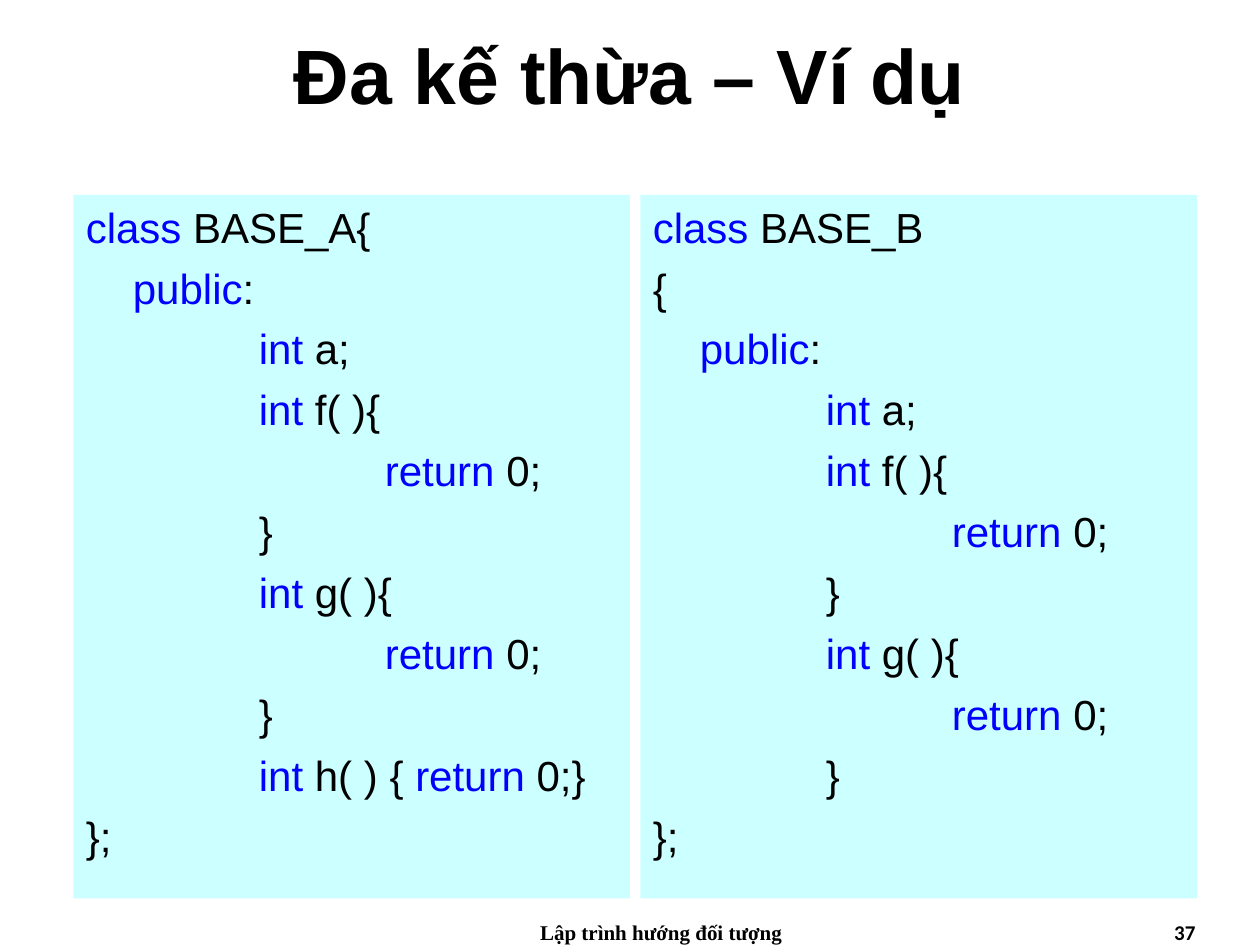
from dataclasses import dataclass

import pptx
import pptx.dml.color
import pptx.enum.shapes
import pptx.enum.text
import pptx.util

Cm = pptx.util.Cm
Pt = pptx.util.Pt
RGBColor = pptx.dml.color.RGBColor
Align = pptx.enum.text.PP_ALIGN
Anchor = pptx.enum.text.MSO_ANCHOR

BLACK = RGBColor(0x00, 0x00, 0x00)
KEYWORD_BLUE = RGBColor(0x00, 0x00, 0xFF)
PANEL_CYAN = RGBColor(0xCC, 0xFF, 0xFF)

KEYWORDS = {"class", "public", "int", "return"}
PANEL_LEFT = 1.48
PANEL_STEP = 11.43
CODE_INDENT = Cm(0.95)
TAB_SIZE = Cm(2.54)


@dataclass(frozen=True)
class Label:
    text: str
    left: float
    top: float
    width: float
    height: float
    font: str
    size: int
    align: Align
    anchor: Anchor = Anchor.TOP


@dataclass(frozen=True)
class CodeLine:
    depth: int
    tokens: tuple[str, ...]


LABELS = (
    Label("Đa kế thừa – Ví dụ", 0, 0, 25.4, 2.96, "Arial", 44, Align.CENTER, Anchor.MIDDLE),
    Label("Lập trình hướng đối tượng", 9.31, 18.42, 8.04, 0.64, "Times New Roman", 12, Align.CENTER),
    Label("37", 18.42, 18.42, 5.93, 0.64, "Calibri", 12, Align.RIGHT),
)


def function_lines(name: str) -> tuple[CodeLine, ...]:
    return (
        CodeLine(2, ("int", f" {name}( ){{")),
        CodeLine(3, ("return", " 0;")),
        CodeLine(2, ("}",)),
    )


MEMBERS = (
    CodeLine(1, ("public", ":")),
    CodeLine(2, ("int", " a;")),
    *function_lines("f"),
    *function_lines("g"),
)
CLASS_END = CodeLine(0, ("};",))
PANELS = (
    (
        CodeLine(0, ("class", " BASE_A{")),
        *MEMBERS,
        CodeLine(2, ("int", " h( ) { ", "return", " 0;}")),
        CLASS_END,
    ),
    (
        CodeLine(0, ("class", " BASE_B")),
        CodeLine(0, ("{",)),
        *MEMBERS,
        CLASS_END,
    ),
)


def add_run(paragraph, text: str, font: str, size: int, color: RGBColor, bold: bool = False) -> None:
    run = paragraph.add_run()
    run.text = text
    run.font.name = font
    run.font.size = Pt(size)
    run.font.bold = bold
    run.font.color.rgb = color


def add_label(slide, label: Label) -> None:
    shape = slide.shapes.add_textbox(
        Cm(label.left), Cm(label.top), Cm(label.width), Cm(label.height)
    )
    frame = shape.text_frame
    frame.word_wrap = True
    frame.vertical_anchor = label.anchor
    paragraph = frame.paragraphs[0]
    paragraph.alignment = label.align
    add_run(paragraph, label.text, label.font, label.size, BLACK, bold=True)


def add_code_line(paragraph, line: CodeLine) -> None:
    paragraph.alignment = Align.LEFT
    properties = paragraph._p.get_or_add_pPr()
    properties.set("marL", str(CODE_INDENT))
    properties.set("indent", str(-CODE_INDENT))
    properties.set("defTabSz", str(TAB_SIZE))
    if line.depth:
        add_run(paragraph, "\t" * line.depth, "Arial", 24, BLACK)
    for token in line.tokens:
        color = KEYWORD_BLUE if token in KEYWORDS else BLACK
        add_run(paragraph, token, "Arial", 24, color)


def add_panel(slide, left: float, lines: tuple[CodeLine, ...]) -> None:
    shape = slide.shapes.add_shape(
        pptx.enum.shapes.MSO_SHAPE.RECTANGLE, Cm(left), Cm(3.93), Cm(11.22), Cm(14.18)
    )
    shape.shadow.inherit = False
    shape.fill.solid()
    shape.fill.fore_color.rgb = PANEL_CYAN
    shape.line.fill.background()
    frame = shape.text_frame
    frame.word_wrap = True
    frame.vertical_anchor = Anchor.TOP
    for index, line in enumerate(lines):
        paragraph = frame.add_paragraph() if index else frame.paragraphs[0]
        if index:
            paragraph.space_before = Pt(6)
        add_code_line(paragraph, line)


def main() -> None:
    presentation = pptx.Presentation()
    presentation.slide_width = Cm(25.4)
    presentation.slide_height = Cm(19.05)
    slide = presentation.slides.add_slide(presentation.slide_layouts[6])
    for label in LABELS:
        add_label(slide, label)
    for index, lines in enumerate(PANELS):
        add_panel(slide, PANEL_LEFT + index * PANEL_STEP, lines)
    presentation.save("out.pptx")


if __name__ == "__main__":
    main()
